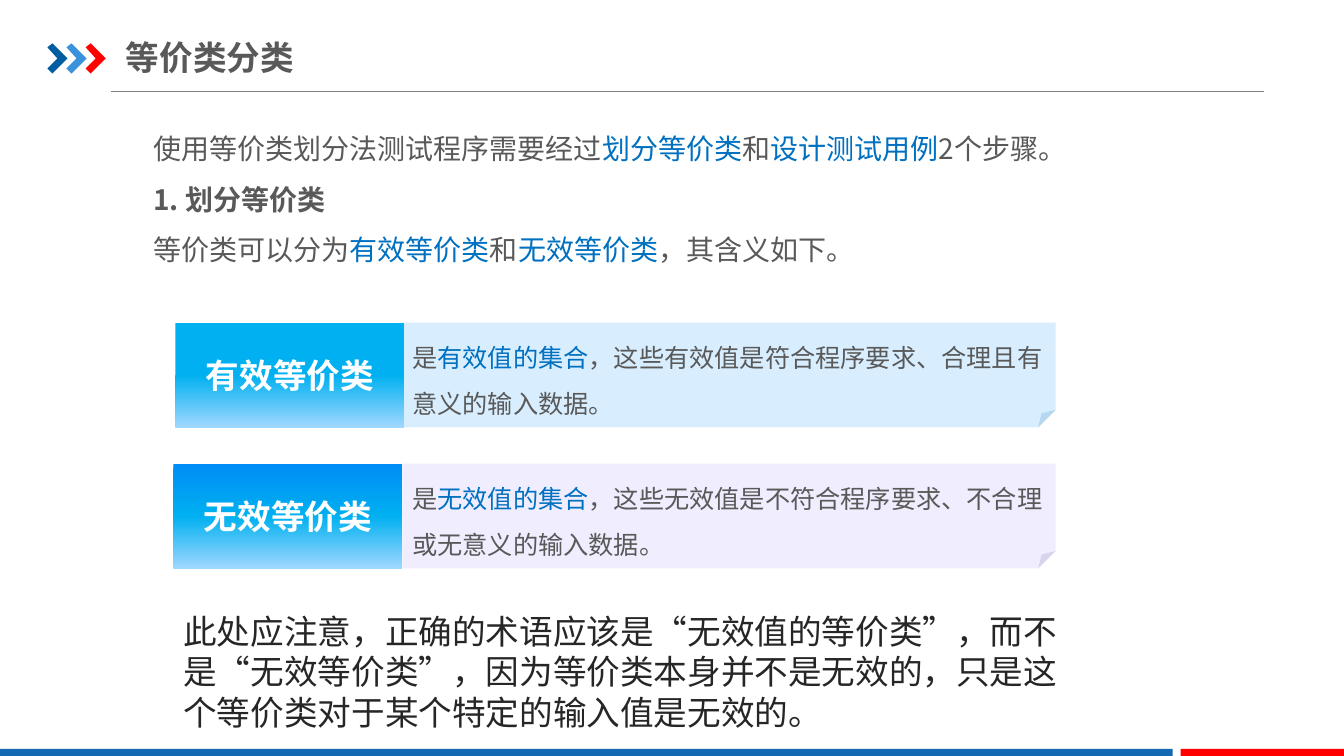
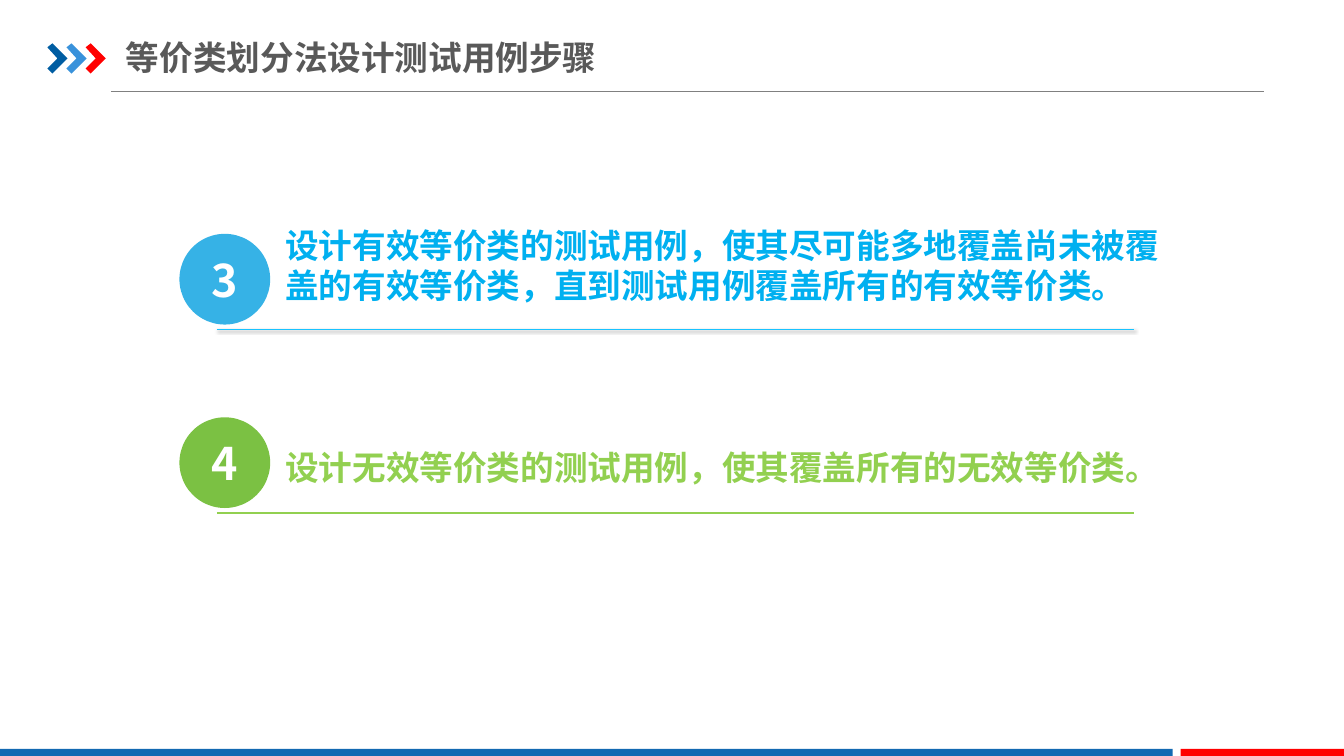
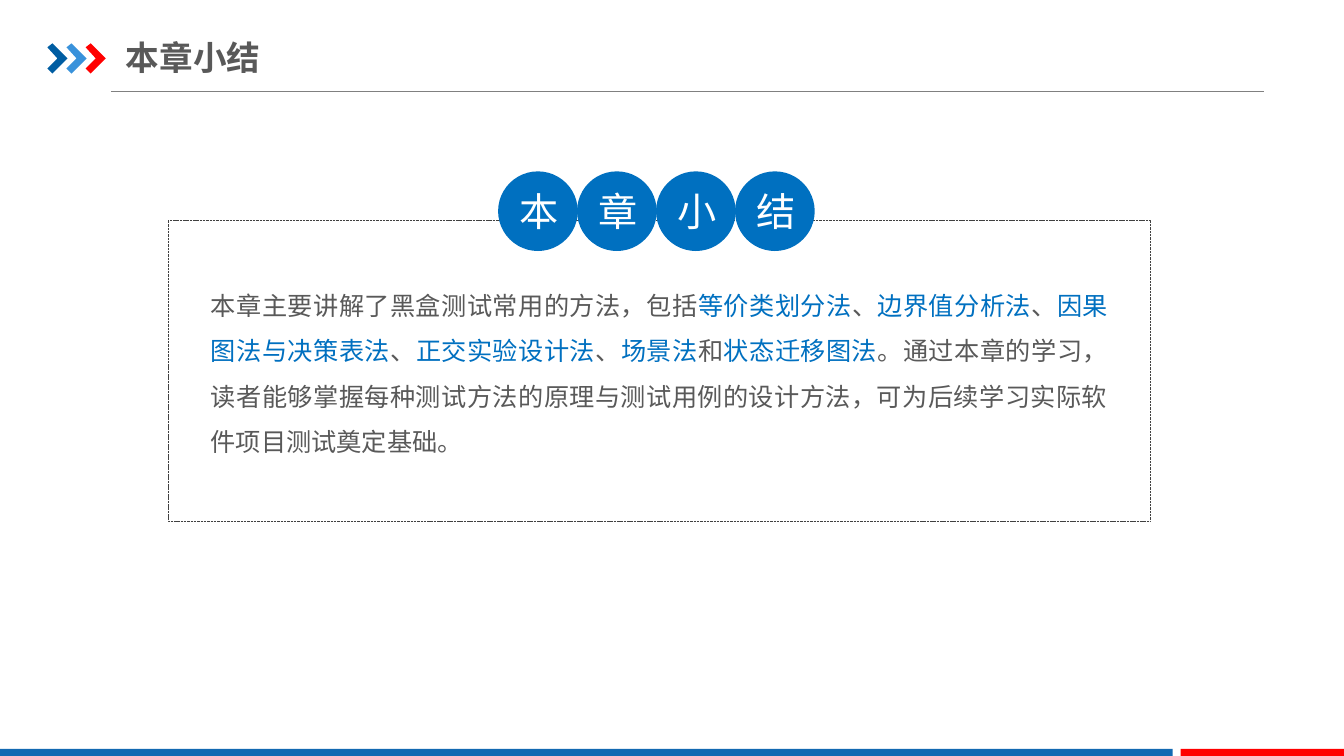
"""Build three slides on equivalence class partitioning."""
from copy import deepcopy

from lxml import etree
from pptx import Presentation
from pptx.dml.color import RGBColor
from pptx.enum.dml import MSO_LINE
from pptx.enum.shapes import MSO_CONNECTOR, MSO_SHAPE
from pptx.enum.text import MSO_ANCHOR, PP_ALIGN
from pptx.oxml.ns import qn
from pptx.util import Inches, Pt

RECTANGLE = MSO_SHAPE.RECTANGLE
ROUNDED = MSO_SHAPE.ROUNDED_RECTANGLE
FOLDED = MSO_SHAPE.FOLDED_CORNER
OVAL = MSO_SHAPE.OVAL
STEP_CIRCLE = MSO_SHAPE.FLOWCHART_CONNECTOR
STRAIGHT = MSO_CONNECTOR.STRAIGHT
DASHED = MSO_LINE.SQUARE_DOT
TOP, MIDDLE = MSO_ANCHOR.TOP, MSO_ANCHOR.MIDDLE
LEFT, CENTER, JUSTIFY = PP_ALIGN.LEFT, PP_ALIGN.CENTER, PP_ALIGN.JUSTIFY

FONT = "Noto Sans CJK SC"
SERIF = "Times New Roman"
WHITE = RGBColor(0xFF, 0xFF, 0xFF)
BODY = RGBColor(0x59, 0x59, 0x59)
DARK = RGBColor(0x26, 0x26, 0x26)
FRAME = RGBColor(0x40, 0x40, 0x40)
RULE = RGBColor(0x80, 0x80, 0x80)
ACCENT = RGBColor(0x00, 0x70, 0xC0)
RED = RGBColor(0xFF, 0x00, 0x00)
BAND = RGBColor(0x13, 0x69, 0xB2)
NAVY = RGBColor(0x00, 0x5D, 0xA2)
MID_BLUE = RGBColor(0x39, 0x92, 0xDB)
SKY = RGBColor(0x00, 0xB0, 0xF0)
DEEP_SKY = RGBColor(0x00, 0x8D, 0xF6)
PALE_SKY = RGBColor(0x9F, 0xD8, 0xFF)
NOTE_BLUE = RGBColor(0x74, 0xC4, 0xFF)
NOTE_VIOLET = RGBColor(0xD1, 0xC7, 0xFD)
STEP_BLUE = RGBColor(0x36, 0xB2, 0xE6)
STEP_GREEN = RGBColor(0x7B, 0xC1, 0x43)
LINE_BLUE = RGBColor(0x19, 0xC3, 0xFF)
LINE_GREEN = RGBColor(0x92, 0xD0, 0x50)


def place(page, kind, area, fill=None):
    """Add a text box or a preset shape without line and shadow."""
    lengths = [Inches(value) for value in area]
    if kind is None:
        return page.shapes.add_textbox(*lengths)
    shape = page.shapes.add_shape(kind, *lengths)
    shape.shadow.inherit = False
    shape.line.fill.background()
    if fill is None:
        shape.fill.background()
    else:
        shape.fill.solid()
        shape.fill.fore_color.rgb = fill
    return shape


def write(shape, lines, size, color, bold=(), align=LEFT, anchor=TOP,
          spacing=None, insets=(0.1, 0.05), font=FONT):
    """Write lines; parts between asterisks take the accent colour."""
    frame = shape.text_frame
    frame.word_wrap = True
    frame.vertical_anchor = anchor
    frame.margin_left = frame.margin_right = Inches(insets[0])
    frame.margin_top = frame.margin_bottom = Inches(insets[1])
    for index, line in enumerate(lines):
        para = frame.add_paragraph() if index else frame.paragraphs[0]
        para.alignment = align
        para.line_spacing = spacing
        for part, words in enumerate(line.split("*")):
            span = para.add_run()
            span.text = words
            span.font.size = Pt(size)
            span.font.name = font
            span.font.bold = index in bold
            span.font.color.rgb = ACCENT if part % 2 else color
            east_asian = etree.SubElement(span.font._element, qn("a:ea"))
            east_asian.set("typeface", FONT)


deck = Presentation()
deck.slide_width = Inches(13.33)
deck.slide_height = Inches(7.5)

pages = []
for title in ("等价类分类", "等价类划分法设计测试用例步骤", "本章小结"):
    page = deck.slides.add_slide(deck.slide_layouts[6])
    pages.append(page)
    rule = page.shapes.add_connector(
        STRAIGHT, Inches(1.1), Inches(0.91), Inches(12.54), Inches(0.91))
    rule.line.color.rgb = RULE
    rule.line.width = Pt(0.75)
    etree.SubElement(rule._element.spPr, qn("a:effectLst"))
    for index, color in enumerate((NAVY, MID_BLUE, RED)):
        left = 0.47 + index * 0.19
        corners = [(Inches(left + across), Inches(down)) for across, down in (
            (0, 0.47), (0.05, 0.43), (0.2, 0.58),
            (0.05, 0.73), (0, 0.68), (0.1, 0.58))]
        builder = page.shapes.build_freeform(*corners[0])
        builder.add_line_segments(corners[1:], close=True)
        chevron = builder.convert_to_shape()
        chevron.shadow.inherit = False
        chevron.fill.solid()
        chevron.fill.fore_color.rgb = color
        chevron.line.fill.background()
    place(page, RECTANGLE, (0, 7.43, 11.63, 0.09), BAND)
    place(page, RECTANGLE, (11.71, 7.43, 1.63, 0.09), RED)
    write(place(page, None, (1.25, 0.29, 6.2, 0.55)), [title], 24, BODY,
          bold=(0,), anchor=MIDDLE, insets=(0, 0.07))

classes_page, steps_page, summary_page = pages

write(place(classes_page, None, (1.39, 1.07, 10.57, 1.65)),
      ["使用等价类划分法测试程序需要经过*划分等价类*和*设计测试用例*2个步骤。",
       "1. 划分等价类",
       "等价类可以分为*有效等价类*和*无效等价类*，其含义如下。"],
      20, BODY, bold=(1,), align=JUSTIFY, spacing=1.5, insets=(0.13, 0.07))

CLASSES = (
    (1.74, 3.2, SKY, NOTE_BLUE, 28, "有效等价类",
     "是*有效值的集合*，这些有效值是符合程序要求、合理且有意义的输入数据。"),
    (1.72, 4.6, DEEP_SKY, NOTE_VIOLET, 31, "无效等价类",
     "是*无效值的集合*，这些无效值是不符合程序要求、不合理或无意义的输入数据。"),
)
for left, top, start, tint, opacity, name, meaning in CLASSES:
    note = place(classes_page, FOLDED, (3.99, top, 6.48, 1.04), tint)
    tint_color = note._element.spPr.find(qn("a:solidFill"))[0]
    etree.SubElement(tint_color, qn("a:alpha")).set("val", str(opacity * 1000))
    write(note, [meaning], 18, BODY, spacing=1.5)
    label = place(classes_page, RECTANGLE, (left, top, 2.27, 1.04), SKY)
    label.fill.gradient()
    label.fill.gradient_angle = 270
    stop_list = label._element.spPr.find(qn("a:gradFill")).find(qn("a:gsLst"))
    stop_list.append(deepcopy(stop_list[-1]))
    stops = zip(label.fill.gradient_stops, (0, 0.5, 1), (start, SKY, PALE_SKY))
    for stop, position, color in stops:
        stop.position = position
        stop.color.rgb = color
    write(label, [name], 24, WHITE, bold=(0,), align=CENTER, anchor=MIDDLE)

write(place(classes_page, None, (1.72, 6.01, 9.08, 1.31)),
      ["此处应注意，正确的术语应该是“无效值的等价类”，而不是“无效等价类”，"
       "因为等价类本身并不是无效的，只是这个等价类对于某个特定的输入值是无效的。"],
      24, DARK)

STEPS = (
    ("3", 2.32, STEP_BLUE, LINE_BLUE, 1, (2.73, 2.18, 8.88, 0.91), SKY, SERIF,
     "设计有效等价类的测试用例，使其尽可能多地覆盖尚未被覆盖的有效等价类，"
     "直到测试用例覆盖所有的有效等价类。"),
    ("4", 4.14, STEP_GREEN, LINE_GREEN, 1.5, (2.73, 4.38, 8.68, 0.5),
     LINE_GREEN, FONT, "设计无效等价类的测试用例，使其覆盖所有的无效等价类。"),
)
for number, top, fill, line_color, width, area, color, font, words in STEPS:
    circle = place(steps_page, STEP_CIRCLE, (1.78, top, 0.9, 0.9), fill)
    write(circle, [number], 32, WHITE, bold=(0,), align=CENTER, anchor=MIDDLE)
    underline = steps_page.shapes.add_connector(
        STRAIGHT, Inches(2.15), Inches(top + 0.95),
        Inches(11.25), Inches(top + 0.95))
    underline.line.color.rgb = line_color
    underline.line.width = Pt(width)
    effects = etree.SubElement(underline._element.spPr, qn("a:effectLst"))
    if number == "3":
        shadow = etree.SubElement(effects, qn("a:outerShdw"), blurRad="25400",
                                  dist="12700", dir="2700000")
        black = etree.SubElement(shadow, qn("a:srgbClr"), val="000000")
        etree.SubElement(black, qn("a:alpha"), val="40000")
    write(place(steps_page, None, area), [words], 24, color, bold=(0,), font=font)

border = place(summary_page, ROUNDED, (1.67, 2.18, 9.74, 2.99))
border.adjustments[0] = 0
border.line.color.rgb = FRAME
border.line.width = Pt(0.25)
border.line.dash_style = DASHED
write(place(summary_page, None, (2.09, 2.73, 8.9, 1.82)),
      ["本章主要讲解了黑盒测试常用的方法，包括*等价类划分法*、*边界值分析法*、"
       "*因果图法与决策表法*、*正交实验设计法*、*场景法*和*状态迁移图法*。"
       "通过本章的学习，读者能够掌握每种测试方法的原理与测试用例的设计方法，"
       "可为后续学习实际软件项目测试奠定基础。"],
      18, BODY, align=JUSTIFY, spacing=1.5, insets=(0, 0))
for index, character in enumerate("本章小结"):
    left = 4.94 + index * 2.35 / 3
    circle = place(summary_page, OVAL, (left, 1.7, 0.79, 0.79), ACCENT)
    write(circle, [character], 28, WHITE, align=CENTER, anchor=MIDDLE)

deck.save("out.pptx")
